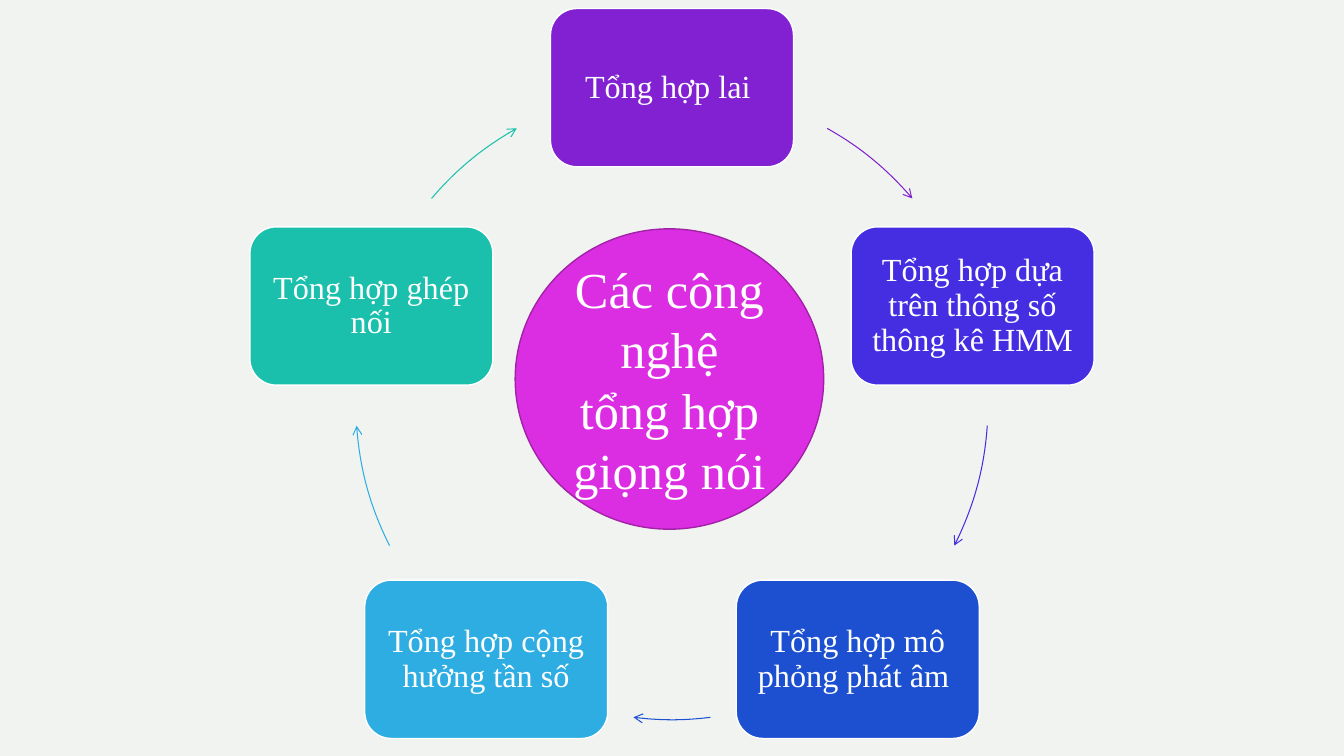
from math import cos, radians, sin, tan

from lxml.etree import SubElement
from pptx import Presentation
from pptx.dml.color import RGBColor
from pptx.enum.shapes import MSO_SHAPE
from pptx.enum.text import MSO_ANCHOR, PP_ALIGN
from pptx.oxml.ns import qn
from pptx.util import Inches, Pt

FONT = "Times New Roman"
COLORS = {
    "background": "F0F3F0",
    "white": "FFFFFF",
    "purple": "8121D1",
    "indigo": "452EE2",
    "blue": "1C50D0",
    "sky": "2EADE2",
    "teal": "1AC0AC",
    "magenta": "DB2EE2",
    "plum": "A222A7",
}
STEPS = [
    ("Tổng hợp lai ", "purple", (-60.6, -40.5)),
    ("Tổng hợp dựa trên thông số thông kê HMM", "indigo", (4, 26.7)),
    ("Tổng hợp mô phỏng phát âm ", "blue", (83, 97)),
    ("Tổng hợp cộng hưởng tần số", "sky", (153.3, 176)),
    ("Tổng hợp ghép nối", "teal", (220.5, 240.6)),
]
STEP_WIDTH, STEP_HEIGHT = 2.41, 1.57


def color(name):
    """Return the named colour."""
    return RGBColor.from_string(COLORS[name])


def add_label(shapes, kind, box, text, size, fill, outline, insets, spacing):
    """Add a filled shape with centred white text inside the box."""
    shape = shapes.add_shape(kind, *(Inches(length) for length in box))
    shape.shadow.inherit = False
    shape.fill.solid()
    shape.fill.fore_color.rgb = color(fill)
    shape.line.color.rgb = color(outline)
    shape.line.width = Pt(1)
    frame = shape.text_frame
    frame.word_wrap = True
    frame.vertical_anchor = MSO_ANCHOR.MIDDLE
    frame.margin_left = frame.margin_right = Inches(insets[0])
    frame.margin_top = frame.margin_bottom = Inches(insets[1])
    para = frame.paragraphs[0]
    para.alignment = PP_ALIGN.CENTER
    para.line_spacing = spacing
    span = para.add_run()
    span.text = text
    span.font.name = FONT
    span.font.size = Pt(size)
    span.font.color.rgb = color("white")


def frame_arc(arrow, box):
    """Turn the segments into one curve and stretch the frame to the circle's box."""
    left, top, diameter = (Inches(length) for length in box)
    geometry = arrow._element.spPr.find(qn("a:custGeom"))
    for node in geometry.iter(qn("a:pt")):
        node.set("x", str(int(node.get("x")) + arrow.left - left))
        node.set("y", str(int(node.get("y")) + arrow.top - top))
    segments = list(geometry.iter(qn("a:lnTo")))
    outline = segments[0].getparent()
    outline.set("w", str(diameter))
    outline.set("h", str(diameter))
    curve = SubElement(outline, qn("a:cubicBezTo"))
    for segment in segments:
        curve.append(segment[0])
        outline.remove(segment)
    arrow.left, arrow.top = left, top
    arrow.width = arrow.height = diameter


def add_arc_arrow(shapes, box, angles, tint):
    """Add a curved arrow along the circle in the box between two angles in degrees."""
    left, top, diameter = box
    radius = diameter / 2
    start, end = (radians(angle) for angle in angles)
    reach = 4 / 3 * tan((end - start) / 4)

    def point(angle, pull):
        """Return a point on the circle, moved along its tangent."""
        return (
            Inches(left + radius * (1 + cos(angle) - pull * sin(angle))),
            Inches(top + radius * (1 + sin(angle) + pull * cos(angle))),
        )

    builder = shapes.build_freeform(*point(start, 0))
    builder.add_line_segments(
        [point(start, reach), point(end, -reach), point(end, 0)], close=False
    )
    arrow = builder.convert_to_shape()
    frame_arc(arrow, box)
    arrow.shadow.inherit = False
    arrow.fill.background()
    arrow.line.color.rgb = color(tint)
    arrow.line.width = Pt(0.75)
    line = arrow._element.spPr.find(qn("a:ln"))
    SubElement(line, qn("a:tailEnd"), type="arrow")


def add_cycle(page, box):
    """Place the steps and arrows clockwise on the circle filling the box."""
    left, top, diameter = box
    radius = diameter / 2
    group = page.shapes.add_group_shape()
    for index, (text, tint, angles) in enumerate(STEPS):
        turn = radians(index * 360 / len(STEPS) - 90)
        step_box = (
            left + radius * (1 + cos(turn)) - STEP_WIDTH / 2,
            top + radius * (1 + sin(turn)) - STEP_HEIGHT / 2,
            STEP_WIDTH,
            STEP_HEIGHT,
        )
        add_label(group.shapes, MSO_SHAPE.ROUNDED_RECTANGLE, step_box, text,
                  23, tint, "white", (0.1, 0.1), 0.9)
        add_arc_arrow(group.shapes, box, angles, tint)


def add_hub(page, box):
    """Place the central topic circle in the box."""
    add_label(page.shapes, MSO_SHAPE.OVAL, box, "Các công nghệ tổng hợp giọng nói",
              36, "magenta", "plum", (0.1, 0.05), 1.0)


def main():
    """Build and save the deck."""
    deck = Presentation()
    deck.slide_width, deck.slide_height = Inches(13.33), Inches(7.5)
    page = deck.slides.add_slide(deck.slide_layouts[6])
    page.background.fill.solid()
    page.background.fill.fore_color.rgb = color("background")
    add_cycle(page, (3.53, 0.87, 6.27))
    add_hub(page, (5.11, 2.27, 3.06, 2.98))
    deck.save("out.pptx")


if __name__ == "__main__":
    main()
